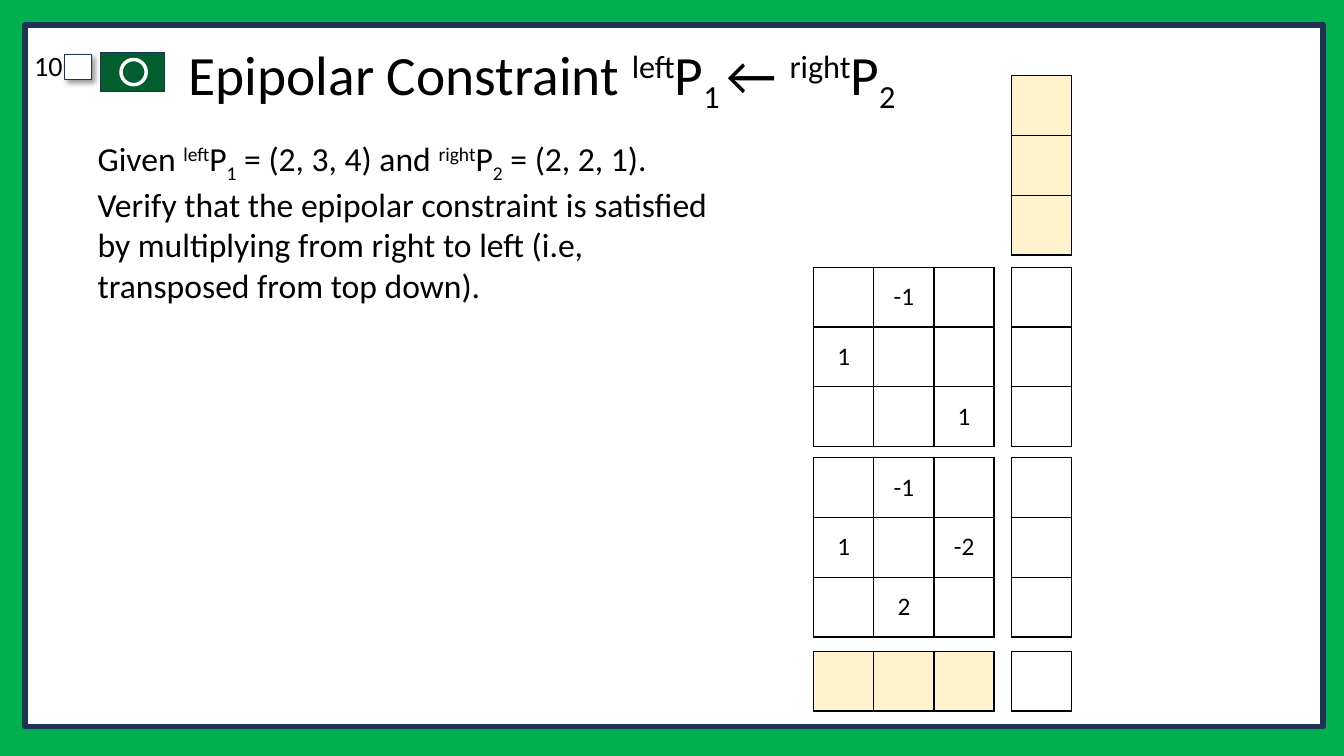
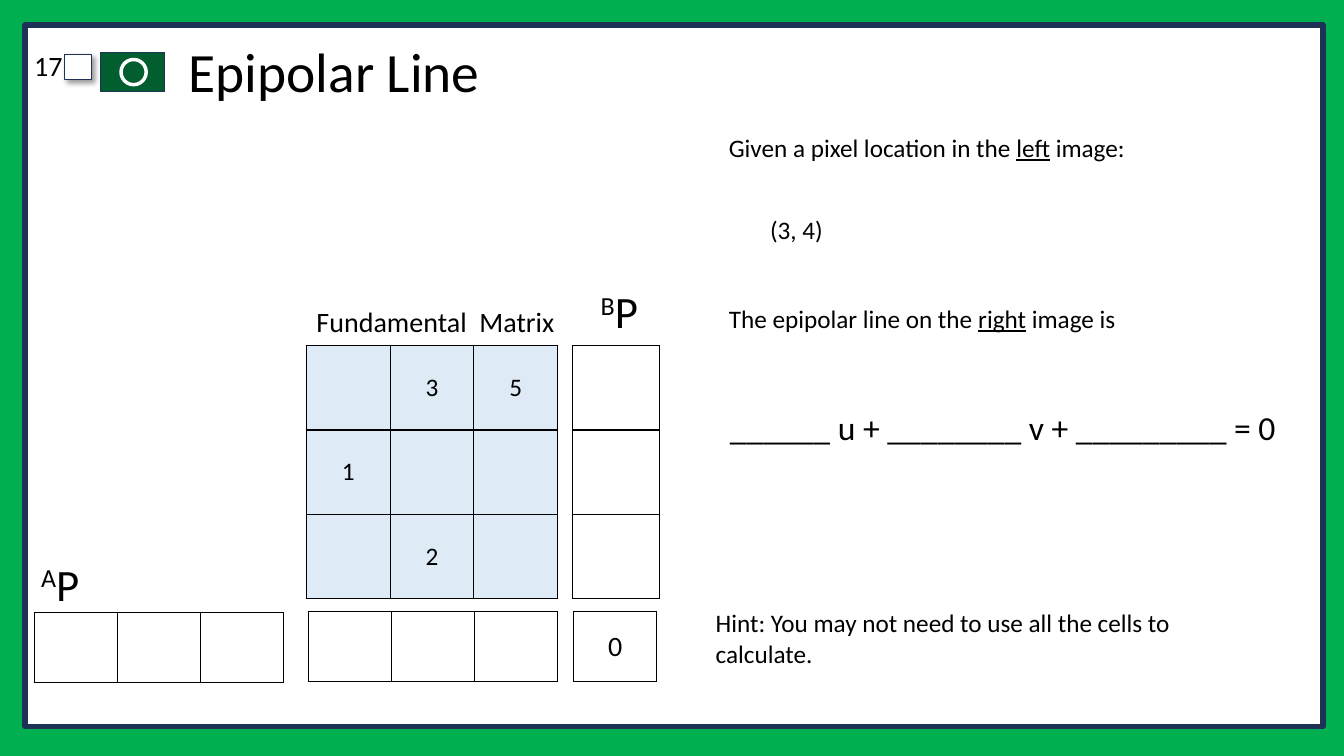
from lxml.etree import SubElement
from pptx import Presentation
from pptx.dml.color import RGBColor
from pptx.enum.shapes import MSO_SHAPE
from pptx.enum.text import MSO_ANCHOR, MSO_AUTO_SIZE, PP_ALIGN
from pptx.oxml import parse_xml
from pptx.oxml.ns import nsdecls, qn
from pptx.util import Inches, Pt

COLORS = {
    "page": "00B050", "panel": "FFFFFF", "navy": "1E3256", "badge": "035E2F",
    "ink": "000000", "cream": "FFF2CC", "ice": "DEEBF7",
}
FONT = "Calibri"
SLIDE_SIZE = (13.33, 7.5)
TITLE_BOX = (1.77, 0.4, 10.65, 0.68)
NUMBER_BOX = (-0.02, 0.47, 0.74, 0.45)
BASELINES = {"sup": "30000", "sub": "-25000"}

FRAME = [
    (MSO_SHAPE.RECTANGLE, (0.25, 0.25, 12.87, 6.96), "panel", "navy", 4, False),
    (MSO_SHAPE.RECTANGLE, (0.64, 0.54, 0.27, 0.25), "panel", "navy", 1, True),
    (MSO_SHAPE.RECTANGLE, (1, 0.52, 0.63, 0.39), "badge", "navy", 1, False),
    (MSO_SHAPE.OVAL, (1.2, 0.59, 0.25, 0.25), "badge", "panel", 2.5, False),
]

LEFT_POINT = [("left", "sup"), ("P", ""), ("1", "sub")]
RIGHT_POINT = [("right", "sup"), ("P", ""), ("2", "sub")]
BLANK_COLUMN = [[""]] * 3
BLANK_ROW = [[""] * 3]

CELL = (1.79 / 3, 1.78 / 3)
MATRIX_X, VECTOR_X = 8.07, 10.03
POINT_Y, ROTATION_Y, ESSENTIAL_Y, RESULT_Y = 0.75, 2.65, 4.54, 6.46
LINE_CELL = (0.83, 2.51 / 3)
ROW_CELL = (2.47 / 3, 0.69)

SLIDES = [
    {
        "number": "10",
        "title": [("Epipolar Constraint ", ""), *LEFT_POINT, (" ", "sub"), ("← ", ""), *RIGHT_POINT],
        "texts": [
            ((0.87, 1.32, 6.43, 1.72), 24, True, [
                ("Given ", ""), *LEFT_POINT, (" = (2, 3, 4) and ", ""), *RIGHT_POINT,
                (" = (2, 2, 1). Verify that the epipolar constraint is satisfied by "
                 "multiplying from right to left (i.e, transposed from top down).", "")]),
        ],
        "tables": [
            ((MATRIX_X, ESSENTIAL_Y), CELL, None, 18,
             [["", "-1", ""], ["1", "", "-2"], ["", "2", ""]]),
            ((MATRIX_X, ROTATION_Y), CELL, None, 18,
             [["", "-1", ""], ["1", "", ""], ["", "", "1"]]),
            ((MATRIX_X, RESULT_Y), CELL, "cream", 18, BLANK_ROW),
            ((VECTOR_X, ROTATION_Y), CELL, None, 18, BLANK_COLUMN),
            ((VECTOR_X, ESSENTIAL_Y), CELL, None, 18, BLANK_COLUMN),
            ((VECTOR_X, POINT_Y), CELL, "cream", 18, BLANK_COLUMN),
            ((VECTOR_X, RESULT_Y), CELL, None, 18, [[""]]),
        ],
    },
    {
        "number": "17",
        "title": [("Epipolar Line", "")],
        "texts": [
            ((3.04, 2.97, 2.59, 0.44), 20, False, [("Fundamental  Matrix", "")]),
            ((7.13, 2.96, 4.08, 0.4), 18, False, [
                ("The epipolar line on the ", ""), ("right", "underline"), (" image is", "")]),
            ((7.14, 3.99, 5.68, 0.5), 24, False, [("______ u + ________ v + _________ = 0", "")]),
            ((7.13, 1.26, 4.19, 0.4), 18, False, [
                ("Given a pixel location in the ", ""), ("left", "underline"), (" image:", "")]),
            ((7.54, 2.08, 0.73, 0.4), 18, False, [("(3, 4)", "")]),
            ((7, 5.98, 4.9, 0.71), 18, True, [
                ("Hint: You may not need to use all the cells to calculate.", "")]),
            ((0.31, 5.47, 0.61, 0.64), 32, False, [("A", "sup"), ("P", "")]),
            ((5.86, 2.77, 0.61, 0.64), 32, False, [("B", "sup"), ("P", "")]),
        ],
        "tables": [
            ((3.04, 3.43), LINE_CELL, "ice", 18,
             [["", "3", "5"], ["1", "", ""], ["", "2", ""]]),
            ((5.68, 3.43), (0.86, LINE_CELL[1]), None, 18, BLANK_COLUMN),
            ((3.06, 6.07), ROW_CELL, None, 18, BLANK_ROW),
            ((0.34, 6.08), ROW_CELL, None, 18, BLANK_ROW),
            ((5.69, 6.07), ROW_CELL, None, 20, [["0"]]),
        ],
    },
]


def rgb(name):
    return RGBColor.from_string(COLORS[name])


def inches(values):
    return [Inches(value) for value in values]


def apply(target, values):
    for name, value in values.items():
        setattr(target, name, value)


def write(paragraph, pieces, size, **layout):
    apply(paragraph, layout)
    for text, style in pieces:
        run = paragraph.add_run()
        run.text = text
        apply(run.font, {"name": FONT, "size": Pt(size), "underline": style == "underline"})
        run.font.color.rgb = rgb("ink")
        if style in BASELINES:
            run._r.get_or_add_rPr().set("baseline", BASELINES[style])


def add_text(slide, box, size, wrap, pieces, **layout):
    frame = slide.shapes.add_textbox(*inches(box)).text_frame
    apply(frame, {"word_wrap": wrap, "auto_size": MSO_AUTO_SIZE.SHAPE_TO_FIT_TEXT})
    write(frame.paragraphs[0], pieces, size, **layout)


def add_border(cell):
    properties = cell._tc.get_or_add_tcPr()
    for side in ("lnL", "lnR", "lnT", "lnB"):
        edge = SubElement(properties, qn(f"a:{side}"), w=str(Pt(1)))
        paint = SubElement(edge, qn("a:solidFill"))
        SubElement(paint, qn("a:srgbClr"), val=COLORS["ink"])


def add_matrix(slide, corner, cell_size, fill, size, rows):
    width, height = cell_size
    columns = len(rows[0])
    extent = (columns * width, len(rows) * height)
    table = slide.shapes.add_table(len(rows), columns, *inches(corner + extent)).table
    apply(table, {"first_row": False, "horz_banding": False})
    for r, row in enumerate(rows):
        for c, value in enumerate(row):
            cell = table.cell(r, c)
            add_border(cell)
            cell.vertical_anchor = MSO_ANCHOR.MIDDLE
            if fill:
                cell.fill.solid()
                cell.fill.fore_color.rgb = rgb(fill)
            else:
                cell.fill.background()
            if value:
                write(cell.text_frame.paragraphs[0], [(value, "")], size, alignment=PP_ALIGN.CENTER)


def add_shadow(shape):
    properties = shape.element.spPr
    properties.remove(properties.find(qn("a:effectLst")))
    properties.append(parse_xml(
        f'<a:effectLst {nsdecls("a")}><a:outerShdw blurRad="{Pt(4)}" dist="{Pt(3)}" '
        f'dir="2700000" algn="tl" rotWithShape="0"><a:srgbClr val="{COLORS["ink"]}">'
        '<a:alpha val="40000"/></a:srgbClr></a:outerShdw></a:effectLst>'))


def build_layout(layout, sketch):
    title = layout.placeholders[0]
    apply(title, dict(zip(("left", "top", "width", "height"), inches(TITLE_BOX))))
    for order, (kind, box, fill, line, weight, shadowed) in enumerate(FRAME):
        shape = sketch.shapes.add_shape(kind, *inches(box))
        shape.shadow.inherit = False
        shape.fill.solid()
        shape.fill.fore_color.rgb = rgb(fill)
        shape.line.color.rgb = rgb(line)
        shape.line.width = Pt(weight)
        if shadowed:
            add_shadow(shape)
        shape.element.nvSpPr.cNvPr.set("id", str(20 + order))
        layout.shapes.element.append(shape.element)


def build_slide(slide, content):
    add_text(slide, NUMBER_BOX, 20, True, [(content["number"], "")],
             alignment=PP_ALIGN.RIGHT, line_spacing=0.9, space_before=Pt(10))
    frame = slide.shapes.title.text_frame
    apply(frame, {"vertical_anchor": MSO_ANCHOR.MIDDLE, "word_wrap": True,
                  "auto_size": MSO_AUTO_SIZE.NONE})
    write(frame.paragraphs[0], content["title"], 39.6, alignment=PP_ALIGN.LEFT, line_spacing=0.9)
    for matrix in content["tables"]:
        add_matrix(slide, *matrix)
    for text in content["texts"]:
        add_text(slide, *text)


def main():
    deck = Presentation()
    apply(deck, dict(zip(("slide_width", "slide_height"), inches(SLIDE_SIZE))))
    backdrop = deck.slide_master.background.fill
    backdrop.solid()
    backdrop.fore_color.rgb = rgb("page")
    layout = deck.slide_layouts[5]
    pages = [deck.slides.add_slide(layout) for _ in SLIDES]
    build_layout(layout, pages[0])
    for page, content in zip(pages, SLIDES):
        build_slide(page, content)
    deck.save("out.pptx")


if __name__ == "__main__":
    main()
